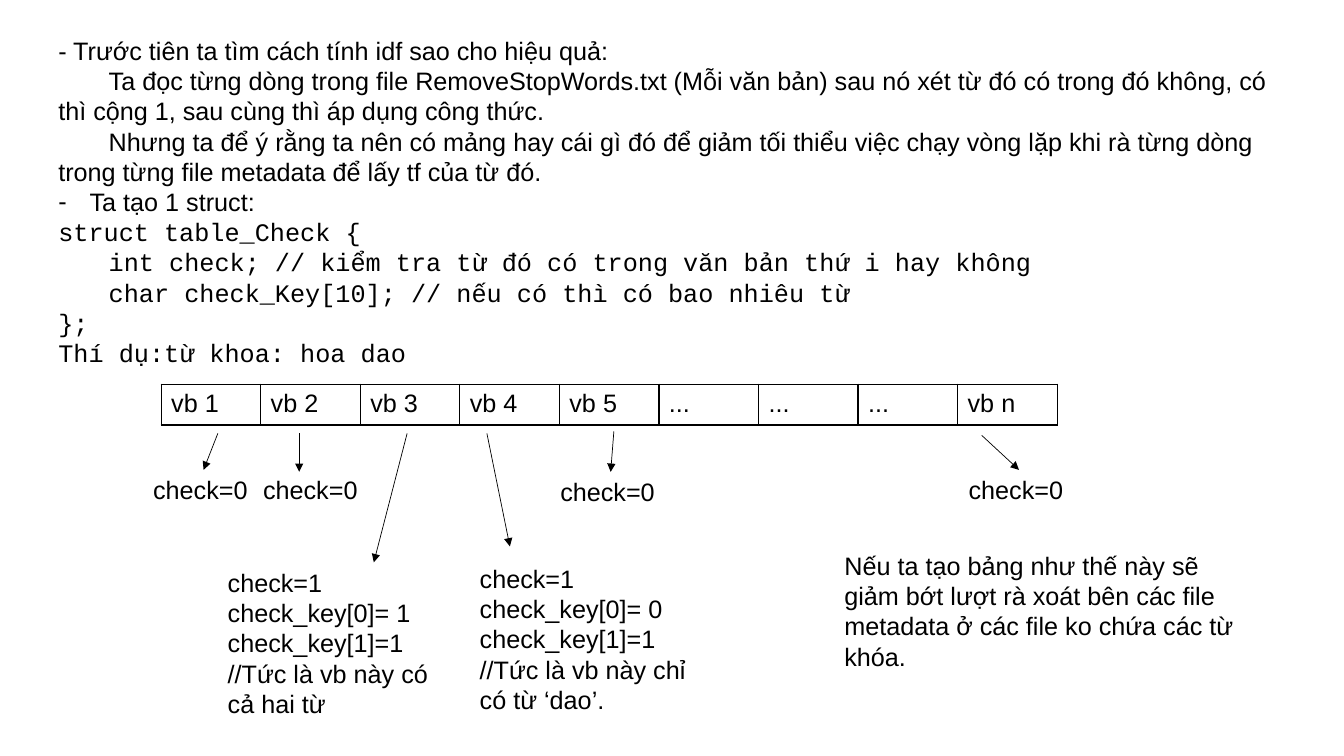
from lxml import etree
from pptx import Presentation
from pptx import util as u
from pptx.dml.color import RGBColor
from pptx.enum import shapes, text
from pptx.oxml.ns import qn

INK = {"black": "000000"}
BLACK = RGBColor.from_string(INK["black"])
SANS, MONO = "Arial", "Courier New"

deck = Presentation()
deck.slide_width, deck.slide_height = u.Cm(33.87), u.Cm(19.05)
slide = deck.slides.add_slide(deck.slide_layouts[6])


def write(frame, lines, font=SANS, size=18, first=0, bullet=None):
    """Add lines to a frame; first is the first-line indent in Cm."""
    for line in lines:
        para = frame.paragraphs[0]
        if para.runs:
            para = frame.add_paragraph()
        run = para.add_run()
        run.text = line
        run.font.name, run.font.size = font, u.Pt(size)
        run.font.color.rgb = BLACK
        props = para._p.get_or_add_pPr()
        if first:
            props.set("indent", str(u.Cm(first)))
        if bullet:
            props.set("marL", str(u.Cm(0.79)))
            props.set("indent", str(u.Cm(-0.79)))
            etree.SubElement(props, qn("a:buFont"), typeface=font)
            etree.SubElement(props, qn("a:buChar"), char=bullet)


def box(left, top, width, height):
    frame = slide.shapes.add_textbox(*map(u.Cm, (left, top, width, height))).text_frame
    frame.word_wrap = True
    frame.auto_size = text.MSO_AUTO_SIZE.SHAPE_TO_FIT_TEXT
    return frame


# Explanation and struct
intro = box(1.22, 0.76, 31.06, 8.71)
write(intro, ["- Trước tiên ta tìm cách tính idf sao cho hiệu quả:"])
write(intro, [
    "Ta đọc từng dòng trong file RemoveStopWords.txt (Mỗi văn bản) sau nó xét từ đó "
    "có trong đó không, có thì cộng 1, sau cùng thì áp dụng công thức.",
    "Nhưng ta để ý rằng ta nên có mảng hay cái gì đó để giảm tối thiểu việc chạy vòng "
    "lặp khi rà từng dòng trong từng file metadata để lấy tf của từ đó.",
], first=1.27)
write(intro, ["Ta tạo 1 struct:"], bullet="-")
write(intro, ["struct table_Check {"], font=MONO)
write(intro, [
    "int check; // kiểm tra từ đó có trong văn bản thứ i hay không",
    "char check_Key[10]; // nếu có thì có bao nhiêu từ",
], font=MONO, first=1.27)
write(intro, ["};", "Thí dụ:từ khoa: hoa dao"], font=MONO)

# Row of documents
docs = ["vb 1", "vb 2", "vb 3", "vb 4", "vb 5", "...", "...", "...", "vb n"]
wide = 2.51
grid = slide.shapes.add_table(1, len(docs), u.Cm(4.06), u.Cm(9.68),
                              u.Cm(wide * len(docs)), u.Cm(1.03)).table
grid.first_row = grid.horz_banding = False
for col, doc in enumerate(docs):
    grid.columns[col].width = u.Cm(wide)
    cell = grid.cell(0, col)
    write(cell.text_frame, [doc])
    props = cell._tc.get_or_add_tcPr()
    for side in ("lnL", "lnR", "lnT", "lnB"):
        edge = etree.SubElement(props, qn("a:" + side), w=str(u.Pt(1)))
        fill = etree.SubElement(edge, qn("a:solidFill"))
        etree.SubElement(fill, qn("a:srgbClr"), val=INK["black"])
    cell.fill.background()

# Check values
for left, top in [(3.61, 11.84), (6.38, 11.84), (13.87, 11.89), (24.16, 11.84)]:
    write(box(left, top, 3.05, 1.02), ["check=0"])
for left, top, width, height, key, note in [
    (5.49, 14.17, 6.17, 4.11, 1, "//Tức là vb này có cả hai từ"),
    (11.84, 14.07, 5.69, 4.88, 0, "//Tức là vb này chỉ có từ ‘dao’."),
]:
    write(box(left, top, width, height),
          ["check=1", f"check_key[0]= {key}", "check_key[1]=1", note])

# Arrows from documents to values
for ends in [
    (5.49, 10.92, 5.13, 11.84),
    (7.54, 10.92, 7.54, 11.89),
    (10.26, 10.92, 9.42, 14.17),
    (12.27, 10.92, 12.85, 13.77),
    (15.47, 10.87, 15.39, 11.89),
    (24.74, 10.97, 25.68, 11.84),
]:
    arrow = slide.shapes.add_connector(shapes.MSO_CONNECTOR.STRAIGHT, *map(u.Cm, ends))
    arrow.line.color.rgb = BLACK
    arrow.line.width = u.Pt(0.5)
    etree.SubElement(arrow.line._get_or_add_ln(), qn("a:tailEnd"), type="triangle")
    etree.SubElement(arrow._element.spPr, qn("a:effectLst"))

# Conclusion
write(box(21.03, 13.74, 10.67, 3.33), [
    "Nếu ta tạo bảng như thế này sẽ giảm bớt lượt rà xoát bên các file metadata "
    "ở các file ko chứa các từ khóa."])

deck.save("out.pptx")
